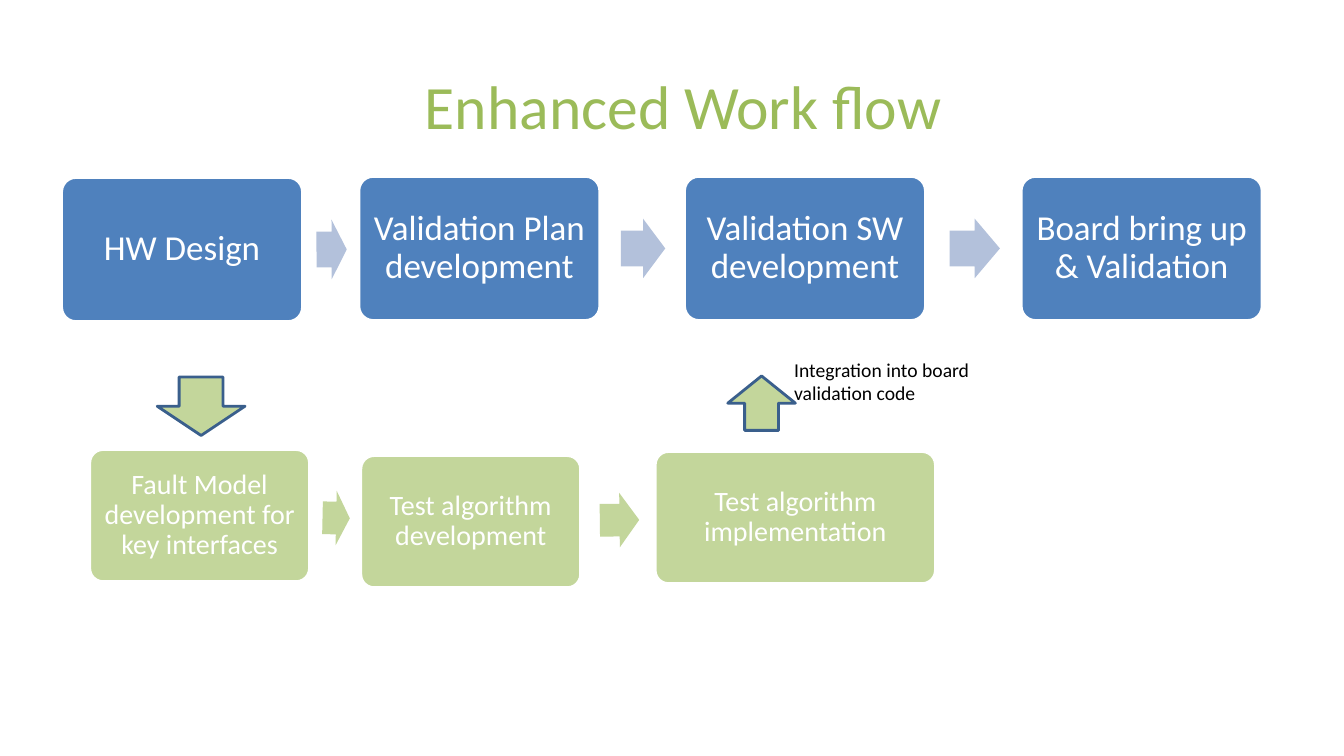
"""Build the enhanced work flow slide: a main row of steps over a fault model row."""
from pptx import Presentation
from pptx.dml.color import RGBColor
from pptx.enum.shapes import MSO_SHAPE as SHAPE
from pptx.enum.text import MSO_ANCHOR as ANCHOR, PP_ALIGN as ALIGN
from pptx.util import Inches, Pt

BLUE, PALE_BLUE, GREEN, PALE_GREEN = "4F81BD", "B3C1DB", "9BBB59", "C3D69B"
NAVY, WHITE, BLACK = "3A5F8C", "FFFFFF", "000000"

prs = Presentation()
prs.slide_width, prs.slide_height = Inches(13.33), Inches(7.5)
s = prs.slides.add_slide(prs.slide_layouts[6])


def add_text(sp, text, size, color, align=ALIGN.CENTER, anchor=ANCHOR.MIDDLE,
             inset=0.1, spacing=1.0):
    tf = sp.text_frame
    tf.word_wrap = True
    tf.vertical_anchor = anchor
    tf.margin_left = tf.margin_right = Inches(inset)
    tf.margin_top = tf.margin_bottom = Inches(min(inset, 0.1))
    p = tf.paragraphs[0]
    p.alignment = align
    p.line_spacing = spacing
    r = p.add_run()
    r.text = text
    r.font.name, r.font.size = "Calibri", Pt(size)
    r.font.color.rgb = RGBColor.from_string(color)


def add_item(x, y, w, h, kind=None, fill=None, line=None, adj=(), rot=0):
    """Place a shape, or a text box without a kind, in percent of the slide."""
    box = [int(v * side / 100) for v, side in zip(
        (x, y, w, h), (prs.slide_width, prs.slide_height) * 2)]
    if kind is None:
        return s.shapes.add_textbox(*box)
    sp = s.shapes.add_shape(kind, *box)
    sp.shadow.inherit = False
    sp.rotation = rot
    for i, v in enumerate(adj):
        sp.adjustments[i] = v
    sp.fill.solid()
    sp.fill.fore_color.rgb = RGBColor.from_string(fill)
    if line:
        sp.line.color.rgb = RGBColor.from_string(line)
        sp.line.width = Pt(2)
    else:
        sp.line.fill.background()
    return sp


add_text(add_item(5.85, 5.6, 90, 16.67), "Enhanced Work flow", 44, GREEN)

rows = [
    dict(fill=BLUE, arrow_fill=PALE_BLUE, size=25, inset=0.1, h=19.07, arrow_h=7.87,
         steps=[("HW Design", 4.58, 23.47, 17.93),
                ("Validation Plan development", 26.7, 23.33, 17.93),
                ("Validation SW development", 50.93, 23.33, 17.93),
                ("Board bring up & Validation", 75.98, 23.33, 17.93)],
         arrows=[(23.55, 29.07, 2.25, -0.2), (46.2, 28.93, 3.3, 0),
                 (70.65, 28.93, 3.75, 0)]),
    dict(fill=PALE_GREEN, arrow_fill=PALE_GREEN, size=20, inset=0.08, h=17.47, arrow_h=7.2,
         steps=[("Fault Model development for key interfaces", 6.68, 59.47, 16.35),
                ("Test algorithm development", 26.85, 60.27, 16.35),
                ("Test algorithm implementation", 48.75, 59.73, 20.85)],
         arrows=[(24, 64.93, 2.03, 1.2), (44.63, 65.2, 2.93, -0.7)]),
]
for row in rows:
    for text, x, y, w in row["steps"]:
        sp = add_item(x, y, w, row["h"], SHAPE.ROUNDED_RECTANGLE, row["fill"], WHITE, [0.1])
        add_text(sp, text, row["size"], WHITE, inset=row["inset"], spacing=0.9)
    for x, y, w, rot in row["arrows"]:
        add_item(x, y, w, row["arrow_h"], SHAPE.RIGHT_ARROW, row["arrow_fill"],
                 adj=[0.6, 0.5], rot=rot)

add_item(11.7, 49.87, 6.53, 7.73, SHAPE.DOWN_ARROW, PALE_GREEN, NAVY)
add_item(54.15, 49.73, 5.03, 7.2, SHAPE.UP_ARROW, PALE_GREEN, NAVY)
add_text(add_item(58.35, 46, 20.03, 7.6), "Integration into board validation code",
         14, BLACK, ALIGN.LEFT, ANCHOR.TOP)

prs.save("out.pptx")
